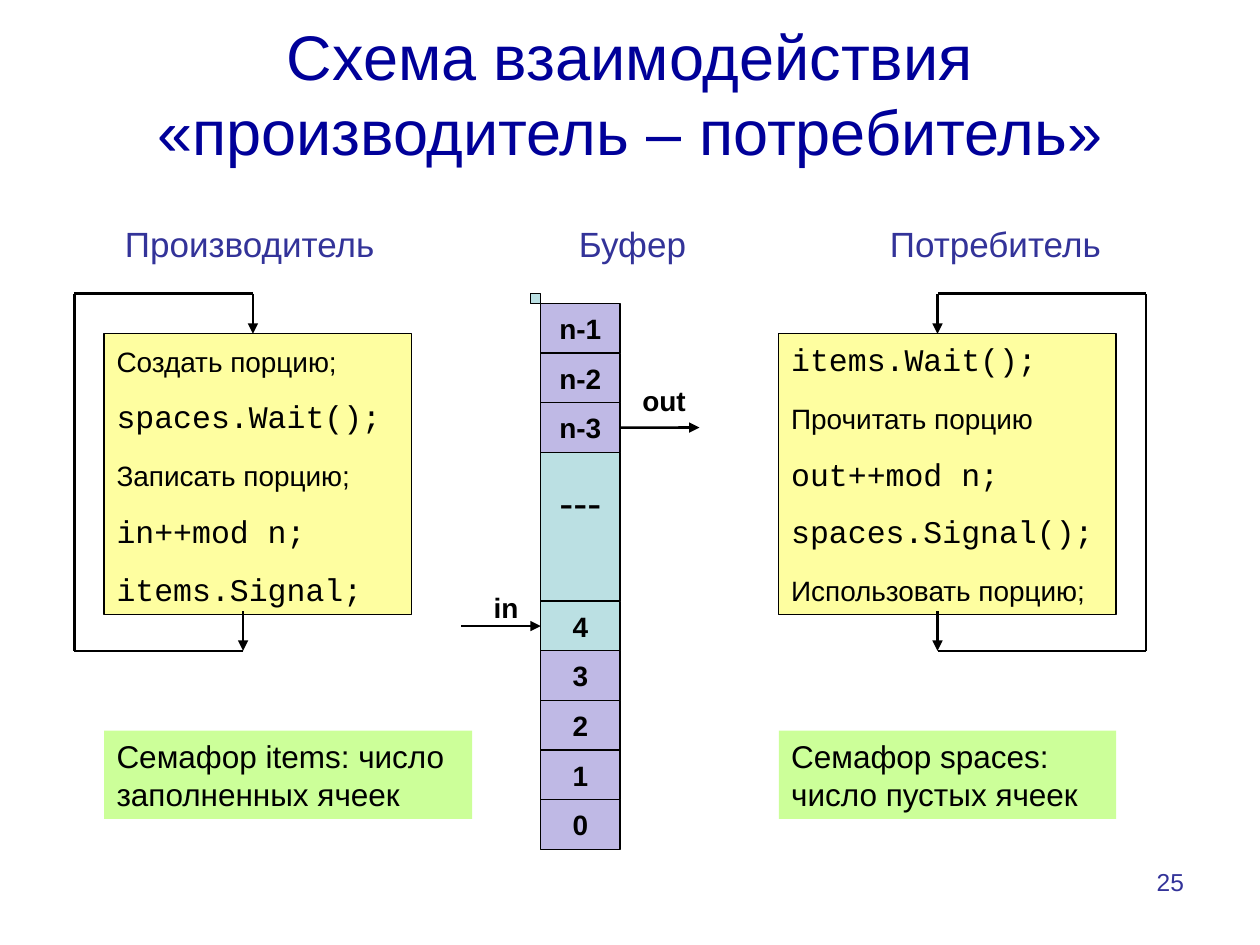
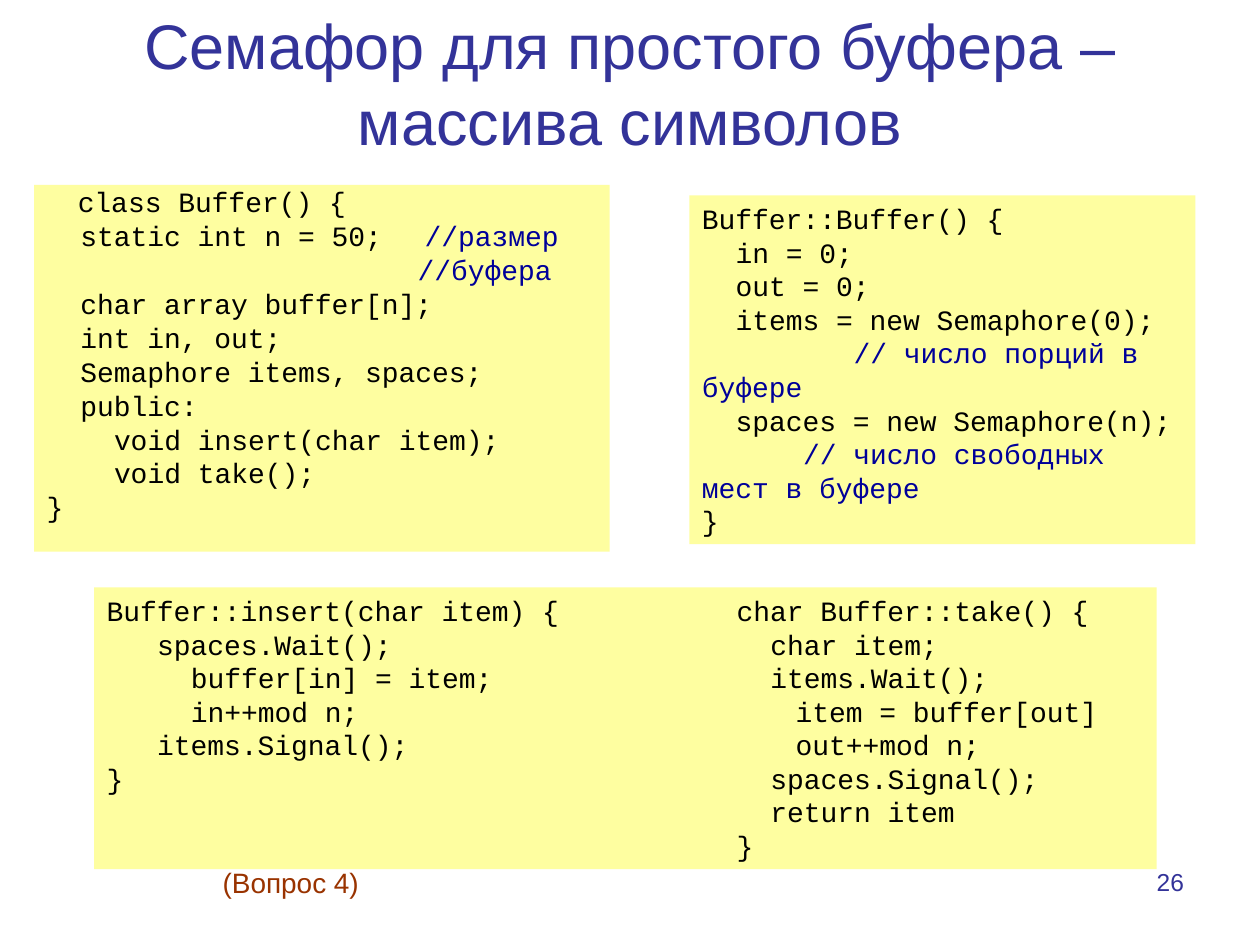
from collections import namedtuple

from lxml import etree
from pptx import Presentation
from pptx.dml.color import RGBColor
from pptx.enum.shapes import MSO_CONNECTOR, MSO_SHAPE
from pptx.enum.text import MSO_ANCHOR, MSO_AUTO_SIZE, PP_ALIGN
from pptx.oxml.ns import qn
from pptx.util import Cm, Pt

RECTANGLE, STRAIGHT = MSO_SHAPE.RECTANGLE, MSO_CONNECTOR.STRAIGHT
TOP, MIDDLE = MSO_ANCHOR.TOP, MSO_ANCHOR.MIDDLE
LEFT, CENTER, RIGHT = PP_ALIGN.LEFT, PP_ALIGN.CENTER, PP_ALIGN.RIGHT
LEFT_SIDE, RIGHT_SIDE = 1, 3

BLACK, NAVY, INDIGO, BROWN = "000000", "000099", "333399", "993300"
YELLOW, GREEN, LILAC, AQUA = "FEFEA0", "CCFF99", "BFB9E5", "BBE0E3"

Style = namedtuple("Style", "font size color bold", defaults=(BLACK, False))
TITLE_NAVY = Style("Arial", 36, NAVY)
TITLE_INDIGO = Style("Arial", 36, INDIGO)
HEADING = Style("Arial", 20, INDIGO)
NUMBER = Style("Arial", 14, INDIGO)
QUESTION = Style("Arial", 16, BROWN)
LABEL = Style("Arial", 16, BLACK, True)
DASHES = Style("Arial", 24)
NOTE = Style("Arial", 18)
ACTION = Style("Arial", 16)
CALL = Style("Courier New", 18)
CODE = Style("Courier New", 16)
COMMENT = Style("Courier New", 16, NAVY)

LINE_FACTOR = 1.2      # line pitch relative to the font size
STEP_GAP = 11.2        # points between the steps of a process
CODE_CHAR = 0.34       # width of one code character, cm

# Slide 1: lengths in cm
HEADINGS = [("Производитель", 2.27), ("Буфер", 11.42), ("Потребитель", 17.69)]
PROCESSES = [
    dict(left=2.1, width=6.2, outer=1.5, enter=5.1, leave=4.9,
         steps=[("Создать порцию;", ACTION), ("spaces.Wait();", CALL),
                ("Записать порцию;", ACTION), ("in++mod n;", CALL),
                ("items.Signal;", CALL)],
         note="Семафор items: число заполненных ячеек", note_width=7.42),
    dict(left=15.7, width=6.8, outer=23.1, enter=18.9, leave=18.9,
         steps=[("items.Wait();", CALL), ("Прочитать порцию", ACTION),
                ("out++mod n;", CALL), ("spaces.Signal();", CALL),
                ("Использовать порцию;", ACTION)],
         note="Семафор spaces: число пустых ячеек", note_width=6.8),
]
PROCESS_TOP, PROCESS_HEIGHT = 6.73, 5.66
LOOP_TOP, LOOP_EXIT, LOOP_BOTTOM = 5.92, 12.32, 13.12
BUFFER_LEFT, BUFFER_TOP, BUFFER_WIDTH = 10.9, 6.12, 1.6
BUFFER_CELLS = [  # label, height, fill
    ("n-1", 1, LILAC), ("n-2", 1, LILAC), ("n-3", 1, LILAC),
    ("---", 3, AQUA), ("4", 1, AQUA),
    ("3", 1, LILAC), ("2", 1, LILAC), ("1", 1, LILAC), ("0", 1, LILAC),
]

# Slide 2: each code line is (indent in characters, text, comment)
COMMENT_COLUMN = 22
BUFFER_CLASS = [
    (1.85, "class Buffer() {", ""),
    (2, "static int n = 50;", "//размер"),
    (COMMENT_COLUMN, "", "//буфера"),
    (2, "char array buffer[n];", ""),
    (2, "int in, out;", ""),
    (2, "Semaphore items, spaces;", ""),
    (2, "public:", ""),
    (4, "void insert(char item);", ""),
    (4, "void take();", ""),
    (0, "}", ""),
]
CONSTRUCTOR = [
    (0, "Buffer::Buffer() {", ""),
    (2, "in = 0;", ""),
    (2, "out = 0;", ""),
    (2, "items = new Semaphore(0);", ""),
    (9, "", "// число порций в буфере"),
    (2, "spaces = new Semaphore(n);", ""),
    (6, "", "// число свободных мест в буфере"),
    (0, "}", ""),
]
INSERT = [
    (0, "Buffer::insert(char item) {", ""),
    (3, "spaces.Wait();", ""),
    (5, "buffer[in] = item;", ""),
    (5, "in++mod n;", ""),
    (3, "items.Signal();", ""),
    (0, "}", ""),
]
TAKE = [
    (0, "char Buffer::take() {", ""),
    (2, "char item;", ""),
    (2, "items.Wait();", ""),
    (3.5, "item = buffer[out]", ""),
    (3.5, "out++mod n;", ""),
    (2, "spaces.Signal();", ""),
    (2, "return item", ""),
    (0, "}", ""),
]


def rgb(color):
    return RGBColor.from_string(color)


def add_run(paragraph, text, style):
    run = paragraph.add_run()
    run.text = text
    run.font.name, run.font.size, run.font.bold = style.font, Pt(style.size), style.bold
    run.font.color.rgb = rgb(style.color)


def prepare_frame(shape, anchor=TOP):
    frame = shape.text_frame
    frame.word_wrap = True
    frame.auto_size = MSO_AUTO_SIZE.NONE
    frame.vertical_anchor = anchor
    return frame


def add_paragraph(frame, align=LEFT, pitch=None, before=0):
    """Return the unused first paragraph of the frame, or a new one."""
    first = frame.paragraphs[0]
    paragraph = frame.add_paragraph() if first.runs else first
    paragraph.alignment = align
    paragraph.space_before = Pt(before)
    if pitch:
        paragraph.line_spacing = Pt(pitch)
    return paragraph


def write(shape, lines, align=LEFT, anchor=TOP, pitch=None, before=0):
    """Fill the shape with (text, style) lines."""
    frame = prepare_frame(shape, anchor)
    for text, style in lines:
        paragraph = add_paragraph(frame, align, pitch or style.size * LINE_FACTOR, before)
        add_run(paragraph, text, style)


def write_code(shape, code, pitch=CODE.size * LINE_FACTOR, before=0):
    frame = prepare_frame(shape)
    for indent, text, comment in code:
        paragraph = add_paragraph(frame, LEFT, pitch, before)
        properties = paragraph._p.get_or_add_pPr()
        properties.set("marL", "0")
        properties.set("indent", str(Cm(indent * CODE_CHAR)))
        if text:
            add_run(paragraph, text, CODE)
        if text and comment:
            stops = etree.SubElement(properties, qn("a:tabLst"))
            etree.SubElement(stops, qn("a:tab"), algn="l",
                             pos=str(Cm(COMMENT_COLUMN * CODE_CHAR)))
            add_run(paragraph, "\t", CODE)
        if comment:
            add_run(paragraph, comment, COMMENT)


def add_rectangle(slide, left, top, width, height, fill, outlined=False):
    shape = slide.shapes.add_shape(RECTANGLE, Cm(left), Cm(top), Cm(width), Cm(height))
    shape.shadow.inherit = False
    shape.fill.solid()
    shape.fill.fore_color.rgb = rgb(fill)
    if outlined:
        shape.line.color.rgb = rgb(BLACK)
        shape.line.width = Pt(0.75)
    else:
        shape.line.fill.background()
    return shape


def add_caption(slide, text, style, left, top, width, height=0.94, align=LEFT):
    caption = slide.shapes.add_textbox(Cm(left), Cm(top), Cm(width), Cm(height))
    write(caption, [(text, style)], align)


def add_line(slide, start, end, arrow=False):
    line = slide.shapes.add_connector(STRAIGHT, *map(Cm, start + end))
    line.line.color.rgb = rgb(BLACK)
    line.line.width = Pt(1.5)
    if arrow:
        etree.SubElement(line.line._get_or_add_ln(), qn("a:tailEnd"), type="triangle")
    etree.SubElement(line._element.spPr, qn("a:effectLst"))
    return line


def add_slide(deck, title, style, title_top, number):
    slide = deck.slides.add_slide(deck.slide_layouts[5])
    heading = slide.shapes.title
    heading.left, heading.top = Cm(0.9), Cm(title_top)
    heading.width, heading.height = Cm(23.6), Cm(2.92)
    write(heading, [(title, style)], CENTER, MIDDLE)
    add_caption(slide, number, NUMBER, 18.2, 17.35, 5.92, 1.32, RIGHT)
    return slide


def add_buffer(slide):
    """Stack the buffer cells and return them by label."""
    add_rectangle(slide, BUFFER_LEFT - 0.2, BUFFER_TOP - 0.2, 0.2, 0.2, AQUA, True)
    cells, top = {}, BUFFER_TOP
    for label, height, fill in BUFFER_CELLS:
        cell = add_rectangle(slide, BUFFER_LEFT, top, BUFFER_WIDTH, height, fill, True)
        write(cell, [(label, DASHES if label == "---" else LABEL)], CENTER, MIDDLE)
        frame = cell.text_frame
        frame.margin_left = frame.margin_right = frame.margin_top = frame.margin_bottom = 0
        cells[label] = cell
        top += height
    cells["---"].text_frame.margin_bottom = Cm(1)
    return cells


def add_process(slide, process):
    left, outer = process["left"], process["outer"]
    enter, leave = process["enter"], process["leave"]
    box = add_rectangle(slide, left, PROCESS_TOP, process["width"], PROCESS_HEIGHT, YELLOW, True)
    write(box, process["steps"], pitch=CALL.size * LINE_FACTOR, before=STEP_GAP)
    note = add_rectangle(slide, left, 14.73, process["note_width"], 1.78, GREEN)
    write(note, [(process["note"], NOTE)])

    add_line(slide, (leave, LOOP_EXIT), (leave, LOOP_BOTTOM), arrow=True)
    corners = [(leave, LOOP_BOTTOM), (outer, LOOP_BOTTOM), (outer, LOOP_TOP), (enter, LOOP_TOP)]
    for start, end in zip(corners, corners[1:]):
        add_line(slide, start, end)
    add_line(slide, (enter, LOOP_TOP), (enter, PROCESS_TOP), arrow=True)


def build_scheme(deck):
    slide = add_slide(deck, "Схема взаимодействия «производитель – потребитель»",
                      TITLE_NAVY, 0.41, "25")
    for text, left in HEADINGS:
        add_caption(slide, text, HEADING, left, 4.36, 6, 1.02)
    cells = add_buffer(slide)
    in_arrow = add_line(slide, (9.3, 12.62), (BUFFER_LEFT, 12.62), arrow=True)
    in_arrow.end_connect(cells["4"], LEFT_SIDE)
    out_arrow = add_line(slide, (BUFFER_LEFT + BUFFER_WIDTH, 8.62), (14.1, 8.62), arrow=True)
    out_arrow.begin_connect(cells["n-3"], RIGHT_SIDE)
    add_caption(slide, "in", LABEL, 9.7, 11.79, 1.2)
    add_caption(slide, "out", LABEL, 12.7, 7.6, 1.6)
    for process in PROCESSES:
        add_process(slide, process)


def build_code(deck):
    slide = add_slide(deck, "Семафор для простого буфера – массива символов",
                      TITLE_INDIGO, 0.2, "26")
    write_code(add_rectangle(slide, 0.69, 3.73, 11.6, 7.39, YELLOW),
               BUFFER_CLASS, pitch=15.4, before=4)
    write_code(add_rectangle(slide, 13.9, 3.94, 10.2, 7.03, YELLOW), CONSTRUCTOR)
    write_code(add_rectangle(slide, 1.9, 11.84, 21.42, 5.68, YELLOW), INSERT)
    take = slide.shapes.add_textbox(Cm(14.6), Cm(11.84), Cm(8.72), Cm(5.68))
    write_code(take, TAKE)
    add_caption(slide, "(Вопрос 4)", QUESTION, 4.24, 17.32, 3.4)


def main():
    deck = Presentation()
    deck.slide_width, deck.slide_height = Cm(25.4), Cm(19.05)
    build_scheme(deck)
    build_code(deck)
    deck.save("out.pptx")


if __name__ == "__main__":
    main()
